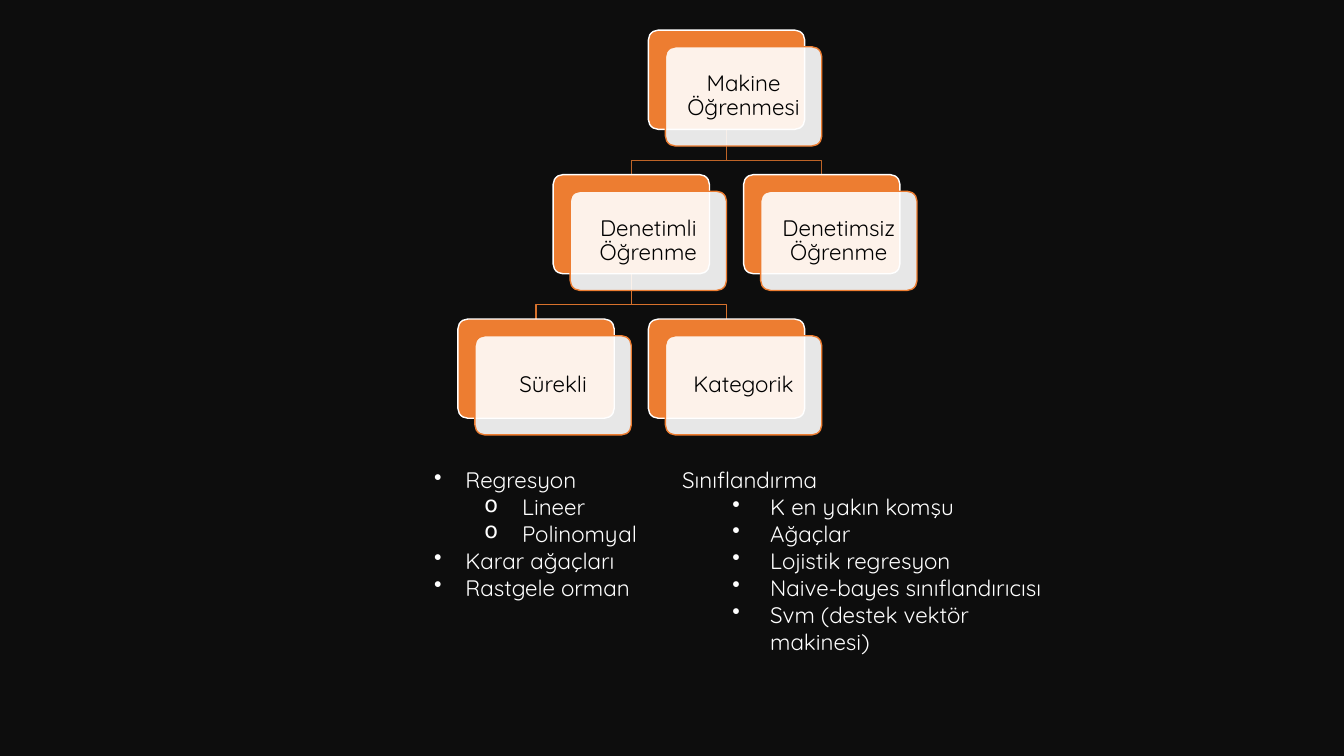
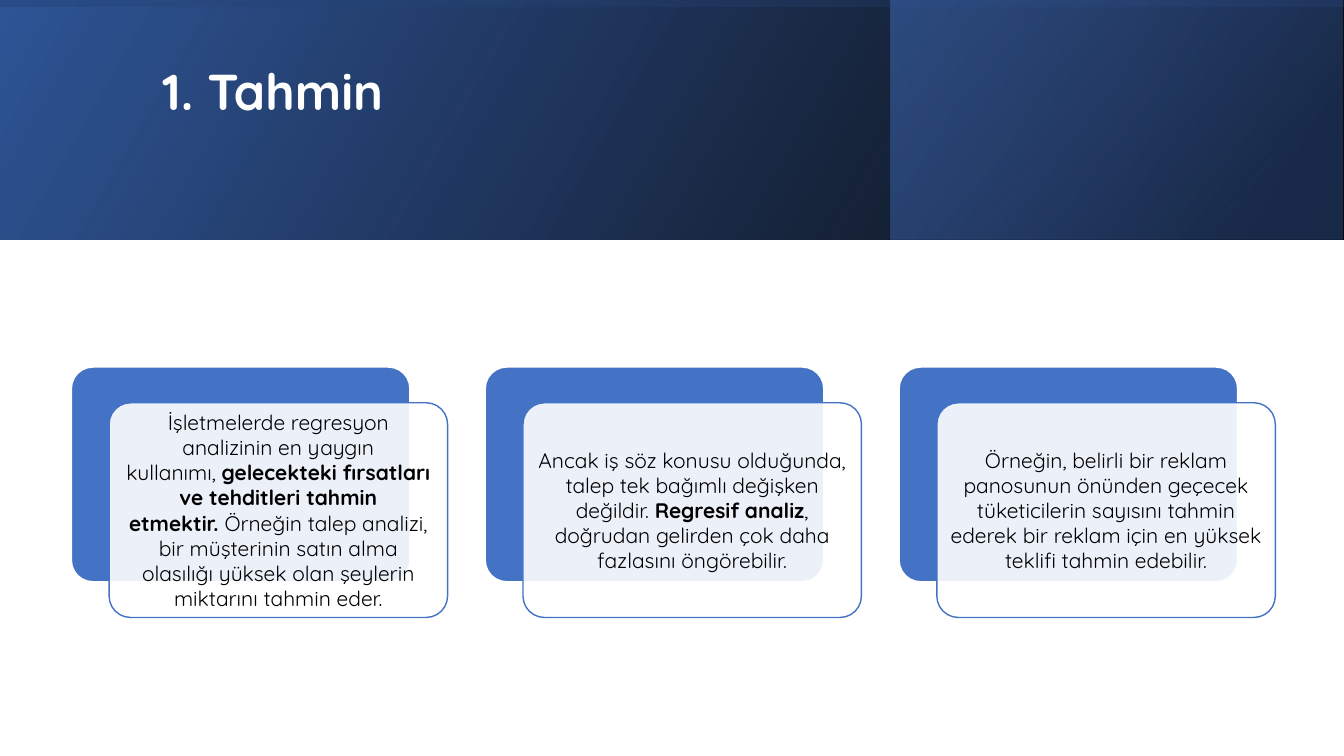
from lxml import etree
from pptx import Presentation
from pptx.dml.color import RGBColor
from pptx.enum.shapes import MSO_SHAPE
from pptx.enum.text import MSO_ANCHOR, MSO_AUTO_SIZE, PP_ALIGN
from pptx.oxml.ns import qn
from pptx.util import Cm, Pt

RECTANGLE, ROUNDED = MSO_SHAPE.RECTANGLE, MSO_SHAPE.ROUNDED_RECTANGLE
LEFT, CENTER = PP_ALIGN.LEFT, PP_ALIGN.CENTER
MIDDLE = MSO_ANCHOR.MIDDLE
FIT_SHAPE, NO_FIT = MSO_AUTO_SIZE.SHAPE_TO_FIT_TEXT, MSO_AUTO_SIZE.NONE

SLIDE_WIDTH, SLIDE_HEIGHT = 33.87, 19.05
TITLE_ONLY, BLANK = 5, 6
NBSP = chr(160)


def color(hex_string):
    return RGBColor.from_string(hex_string)


def set_alpha(color_element, percent):
    alpha = etree.SubElement(color_element, qn("a:alpha"))
    alpha.set("val", str(percent * 1000))


def write(paragraph, text, font="Quicksand", size=16, fill="000000", bold=False,
          align=LEFT, spacing=1.0):
    """Add one formatted run to a paragraph."""
    paragraph.alignment = align
    paragraph.line_spacing = spacing
    run = paragraph.add_run()
    run.text = text
    run.font.name = font
    run.font.size = Pt(size)
    run.font.bold = bold
    run.font.color.rgb = color(fill)


class Deck:
    WHITE, BLACK = "FFFFFF", "000000"
    BACKDROP = "0D0D0D"
    ORANGE, BLUE = "ED7D31", "4472C4"
    NAVY, DEEP_BLUE = "203864", "2F5597"
    # Left margin and first-line indent in cm for each list level
    INDENTS = [(0.79, -0.79), (2.22, -0.95)]

    def __init__(self):
        self.presentation = Presentation()
        self.presentation.slide_width = Cm(SLIDE_WIDTH)
        self.presentation.slide_height = Cm(SLIDE_HEIGHT)
        self.slide = None

    def add_slide(self, layout, background):
        layouts = self.presentation.slide_layouts
        self.slide = self.presentation.slides.add_slide(layouts[layout])
        fill = self.slide.background.fill
        fill.solid()
        fill.fore_color.rgb = color(background)

    def shape(self, kind, left, top, width, height):
        shape = self.slide.shapes.add_shape(
            kind, Cm(left), Cm(top), Cm(width), Cm(height))
        shape.shadow.inherit = False
        return shape

    def title(self, text, left, top, width, height):
        title = self.slide.shapes.title
        title.left, title.top = Cm(left), Cm(top)
        title.width, title.height = Cm(width), Cm(height)
        frame = title.text_frame
        frame.vertical_anchor = MIDDLE
        frame.auto_size = NO_FIT
        write(frame.paragraphs[0], text, size=36, fill=self.WHITE, bold=True,
              spacing=0.9)
        self.slide.shapes._spTree.append(title._element)  # above the bands

    def band(self, left, top, width, height, stops, angle, rotation=0):
        """Mirrored gradient rectangle; stops are (position, colour, opacity)."""
        band = self.shape(RECTANGLE, left, top, width, height)
        band.rotation = rotation
        band.line.fill.background()
        band._element.spPr.find(qn("a:xfrm")).set("flipH", "1")
        band.fill.gradient()
        band.fill.gradient_angle = angle
        for stop, (position, tint, opacity) in zip(band.fill.gradient_stops, stops):
            stop.position = position
            stop.color.rgb = color(tint)
        tints = list(band._element.spPr.iter(qn("a:srgbClr")))
        for tint, (_, _, opacity) in zip(tints, stops):
            set_alpha(tint, opacity)

    def panel(self, left, top, width, height, fill, line):
        panel = self.shape(ROUNDED, left, top, width, height)
        panel.adjustments[0] = 0.1
        panel.fill.solid()
        panel.fill.fore_color.rgb = color(fill)
        panel.line.color.rgb = color(line)
        panel.line.width = Pt(1)
        return panel

    def card(self, left, top, extent, offset, runs, accent, inset, **text_format):
        """Coloured panel with a translucent text panel shifted over it."""
        self.panel(left, top, *extent, accent, self.WHITE)
        front = self.panel(left + offset[0], top + offset[1], *extent,
                           self.WHITE, accent)
        set_alpha(front._element.spPr.find(
            qn("a:solidFill")).find(qn("a:srgbClr")), 90)
        frame = front.text_frame
        frame.word_wrap = True
        frame.vertical_anchor = MIDDLE
        frame.margin_left = frame.margin_right = Cm(inset)
        frame.margin_top = frame.margin_bottom = Cm(inset)
        for text, bold in runs:
            write(frame.paragraphs[0], text, bold=bold, align=CENTER, **text_format)

    def branch(self, points, line):
        """Open angled line through points in cm."""
        points = [(Cm(x), Cm(y)) for x, y in points]
        builder = self.slide.shapes.build_freeform(*points[0])
        builder.add_line_segments(points[1:], close=False)
        branch = builder.convert_to_shape()
        branch.shadow.inherit = False
        branch.fill.background()
        branch.line.color.rgb = color(line)
        branch.line.width = Pt(1)

    def bullet_list(self, left, top, width, height, items):
        """Items are (level, bullet, text)."""
        box = self.slide.shapes.add_textbox(
            Cm(left), Cm(top), Cm(width), Cm(height))
        frame = box.text_frame
        frame.word_wrap = True
        frame.auto_size = FIT_SHAPE
        for index, (level, bullet, text) in enumerate(items):
            paragraph = frame.add_paragraph() if index else frame.paragraphs[0]
            paragraph.level = level
            if bullet:
                margin, indent = self.INDENTS[level]
                properties = paragraph._p.get_or_add_pPr()
                properties.set("marL", str(int(Cm(margin))))
                properties.set("indent", str(int(Cm(indent))))
                etree.SubElement(properties, qn("a:buChar")).set("char", bullet)
            write(paragraph, text, fill=self.WHITE)


def learning_tree(deck):
    deck.add_slide(BLANK, deck.BACKDROP)
    extent = width, height = 3.94, 2.5
    # Text, column, row, parent
    nodes = [
        ("Makine Öğrenmesi", 2, 0, None),
        ("Denetimli Öğrenme", 1, 1, 0),
        ("Sürekli", 0, 2, 1),
        ("Kategorik", 2, 2, 1),
        ("Denetimsiz Öğrenme", 3, 1, 0),
    ]
    corners = [(11.54 + 2.4 * column, 0.76 + 3.64 * row)
               for _, column, row, _ in nodes]
    branch_colors = ["BE6427", "D7712C"]

    # Branches lie behind the cards
    for (_, _, row, parent), (left, top) in zip(nodes, corners):
        if parent is not None:
            start_x, end_x = corners[parent][0] + width / 2, left + width / 2
            start_y = corners[parent][1] + height
            bend_y = start_y + 0.78
            deck.branch([(start_x, start_y), (start_x, bend_y),
                         (end_x, bend_y), (end_x, top)], branch_colors[row - 1])
    for (text, *_), corner in zip(nodes, corners):
        deck.card(*corner, extent, (0.43, 0.42), [(text, False)], deck.ORANGE,
                  inset=0.18, spacing=0.9)

    # Methods under the two leaves
    deck.bullet_list(10.69, 11.63, 5.92, 3.68, [
        (0, "•", "Regresyon"),
        (1, "o", "Lineer"),
        (1, "o", "Polinomyal"),
        (0, "•", "Karar ağaçları"),
        (0, "•", "Rastgele orman"),
    ])
    methods = ["K en yakın komşu", "Ağaçlar", "Lojistik regresyon",
               "Naive-bayes sınıflandırıcısı", "Svm (destek vektör makinesi)"]
    deck.bullet_list(16.94, 11.63, 9.65, 5.74,
                     [(0, None, "Sınıflandırma")]
                     + [(1, "•", method) for method in methods])


def forecast(deck):
    deck.add_slide(TITLE_ONLY, deck.WHITE)

    # Header: three layered gradients, the last one turned on its side
    depth = 6.03
    deck.band(0, 0, SLIDE_WIDTH, depth,
              [(0, deck.BLACK, 96), (1, deck.DEEP_BLUE, 100)], angle=30)
    deck.band(22.45, 0, 11.39, depth,
              [(0.19, deck.NAVY, 68), (1, deck.BLUE, 48)], angle=40)
    deck.band((SLIDE_WIDTH - depth) / 2, (depth - SLIDE_WIDTH) / 2,
              depth, SLIDE_WIDTH,
              [(0.23, deck.DEEP_BLUE, 16), (0.99, deck.BLACK, 45)],
              angle=10, rotation=270)
    deck.title("1. Tahmin", 3.84, 0.97, 27, 2.8)

    # Three text cards
    cards = [
        [(f"İşletmelerde regresyon analizinin en yaygın kullanımı,{NBSP}", False),
         (f"gelecekteki fırsatları ve tehditleri tahmin etmektir.{NBSP}", True),
         ("Örneğin talep analizi, bir müşterinin satın alma olasılığı yüksek "
          "olan şeylerin miktarını tahmin eder.", False)],
        [("Ancak iş söz konusu olduğunda, talep tek bağımlı değişken "
          f"değildir.{NBSP}", False),
         ("Regresif analiz", True),
         (", doğrudan gelirden çok daha fazlasını öngörebilir.", False)],
        [("Örneğin, belirli bir reklam panosunun önünden geçecek tüketicilerin "
          "sayısını tahmin ederek bir reklam için en yüksek teklifi tahmin "
          "edebilir.", False)],
    ]
    for index, runs in enumerate(cards):
        deck.card(1.8 + 10.43 * index, 9.25, (8.53, 5.41), (0.95, 0.9), runs,
                  deck.BLUE, inset=0.15, size=15)


def main():
    deck = Deck()
    learning_tree(deck)
    forecast(deck)
    deck.presentation.save("out.pptx")


if __name__ == "__main__":
    main()
